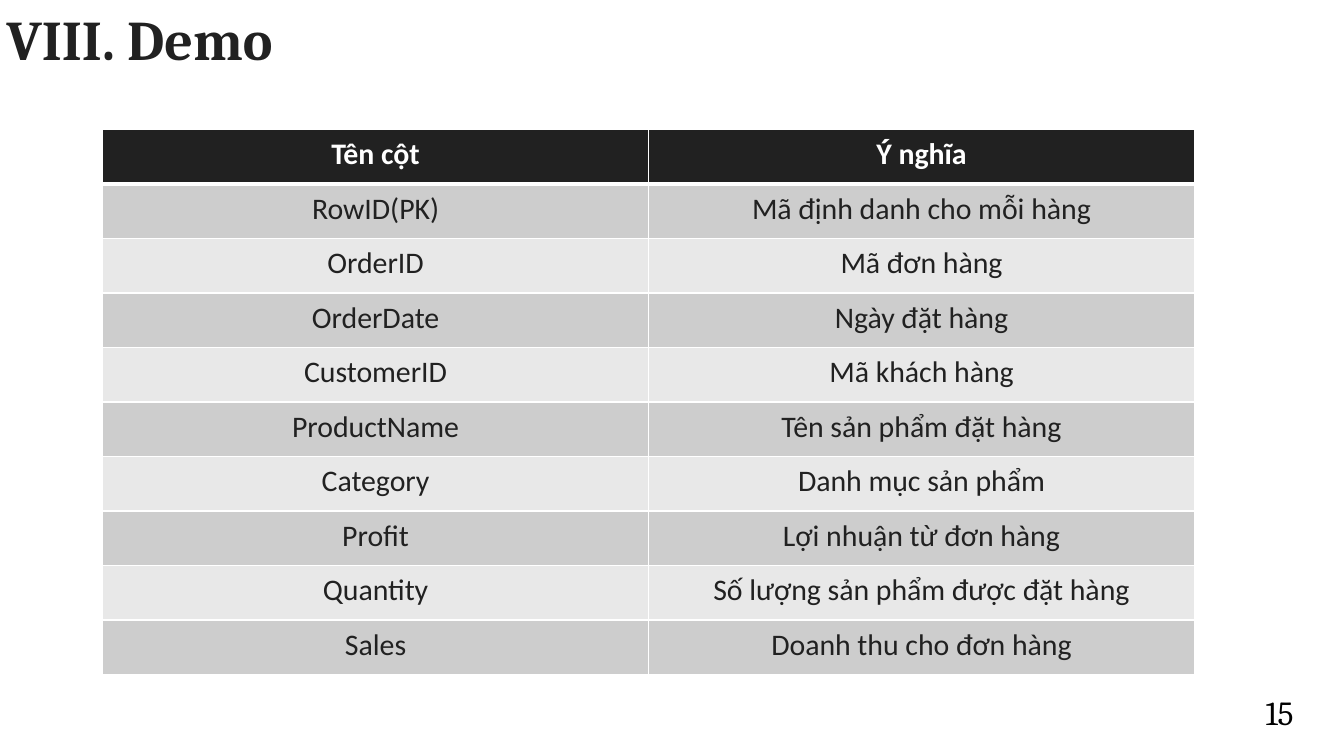
from lxml import etree
from pptx import Presentation
from pptx.dml.color import RGBColor
from pptx.enum import text
from pptx.oxml import ns
from pptx.util import Pt

COLORS = {
    "white": "FFFFFF",
    "black": "000000",
    "dark": "212121",
    "band": "CDCDCD",
    "light_band": "E8E8E8",
}

COLUMNS = [
    ("Tên cột", "Ý nghĩa"),
    ("RowID(PK)", "Mã định danh cho mỗi hàng"),
    ("OrderID", "Mã đơn hàng"),
    ("OrderDate", "Ngày đặt hàng"),
    ("CustomerID", "Mã khách hàng"),
    ("ProductName", "Tên sản phẩm đặt hàng"),
    ("Category", "Danh mục sản phẩm"),
    ("Profit", "Lợi nhuận từ đơn hàng"),
    ("Quantity", "Số lượng sản phẩm được đặt hàng"),
    ("Sales", "Doanh thu cho đơn hàng"),
]


def write_text(frame, content, *, size, font, color, bold=False, spacing=None):
    paragraph = frame.paragraphs[0]
    paragraph.alignment = text.PP_ALIGN.CENTER
    if spacing:
        paragraph.line_spacing = spacing
    run = paragraph.add_run()
    run.text = content
    run.font.size = Pt(size)
    run.font.name = font
    run.font.bold = bold
    run.font.color.rgb = RGBColor.from_string(COLORS[color])


def set_borders(cell, widths):
    """Draw white cell borders; widths are points for left, right, top, bottom."""
    properties = cell._tc.get_or_add_tcPr()
    for index, (side, width) in enumerate(zip("LRTB", widths)):
        line = etree.Element(ns.qn(f"a:ln{side}"), w=str(Pt(width)))
        fill = etree.SubElement(line, ns.qn("a:solidFill"))
        etree.SubElement(fill, ns.qn("a:srgbClr"), val=COLORS["white"])
        properties.insert(index, line)


def add_title(slide, left, top, width, height):
    title = slide.shapes.title
    title.left, title.top = Pt(left), Pt(top)
    title.width, title.height = Pt(width), Pt(height)
    frame = title.text_frame
    frame.margin_left = frame.margin_right = Pt(7.2)
    frame.margin_top = frame.margin_bottom = Pt(7.2)
    frame.vertical_anchor = text.MSO_ANCHOR.TOP
    frame.auto_size = text.MSO_AUTO_SIZE.SHAPE_TO_FIT_TEXT
    frame.word_wrap = False
    write_text(frame, "VIII. Demo", size=30, font="Cambria", color="dark",
               bold=True, spacing=1.15)


def add_column_table(slide, left, top, width, height):
    table = slide.shapes.add_table(len(COLUMNS), 2, Pt(left), Pt(top),
                                   Pt(width), Pt(height)).table
    for row in table.rows:
        row.height = Pt(height / len(COLUMNS))
    for row_index, row_texts in enumerate(COLUMNS):
        header = row_index == 0
        band = "band" if row_index % 2 else "light_band"
        for column_index, content in enumerate(row_texts):
            cell = table.cell(row_index, column_index)
            cell.fill.solid()
            cell.fill.fore_color.rgb = RGBColor.from_string(
                COLORS["dark" if header else band])
            set_borders(cell, (1, 1, 3 if row_index == 1 else 1,
                               3 if header else 1))
            write_text(cell.text_frame, content, size=16, font="Calibri",
                       color="white" if header else "dark", bold=header)


def add_page_number(slide, left, top, width, height):
    box = slide.shapes.add_textbox(Pt(left), Pt(top), Pt(width), Pt(height))
    box.text_frame.word_wrap = True
    box.text_frame.auto_size = text.MSO_AUTO_SIZE.SHAPE_TO_FIT_TEXT
    write_text(box.text_frame, "15", size=18, font="Cambria", color="black")


def main():
    presentation = Presentation()
    presentation.slide_width, presentation.slide_height = Pt(720), Pt(405)
    slide = presentation.slides.add_slide(presentation.slide_layouts[5])
    add_title(slide, -5.8, -10, 161.3, 56.2)
    add_column_table(slide, 55, 69.4, 585, 292)
    add_page_number(slide, 654.5, 367.2, 62, 29)
    presentation.save("out.pptx")


if __name__ == "__main__":
    main()
